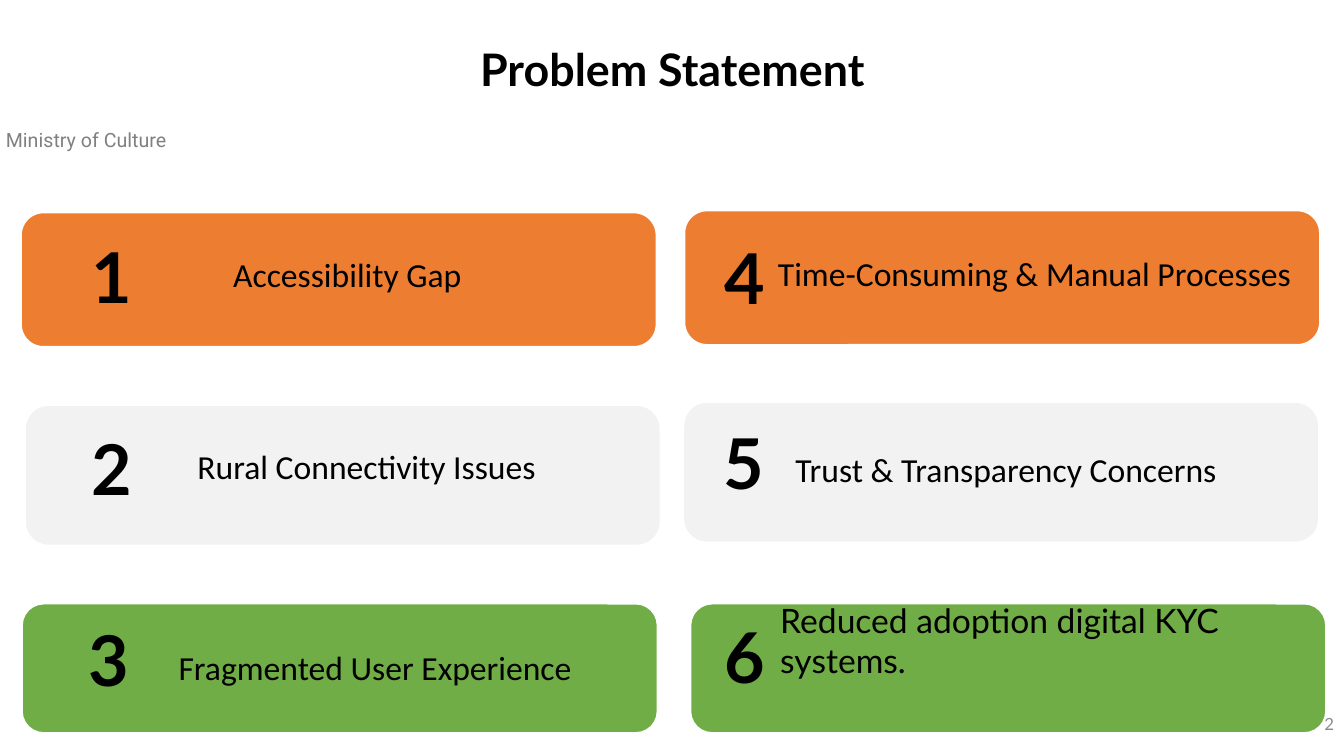
from pptx import Presentation
from pptx.dml.color import RGBColor
from pptx.enum.shapes import MSO_SHAPE as Shape
from pptx.enum.text import MSO_ANCHOR as Anchor, PP_ALIGN as Align
from pptx.util import Inches, Pt

# Content
TITLE = "Problem Statement"
MINISTRY = "Ministry of Culture"
PAGE_NUMBER = "2"

ORANGE, GREY, GREEN = "ED7D31", "F2F2F2", "70AD47"
BLACK, WHITE = "000000", "FFFFFF"
CARD_WIDTH = 6.3
CARD_HEIGHTS = {ORANGE: 1.33, GREY: 1.39, GREEN: 1.28}
NUMBER_SIZE = (0.61, 0.94)

CENTRED = {"align": Align.CENTER, "spacing": 0.9}
PLAIN = {}
WRAPPED = {"font": "Lato", "wrap": True}

# Number, colour, card corner, number corner, label, label box, label style
PROBLEMS = [
    ("1", ORANGE, (0.21, 2.11), (0.81, 2.27),
     "Accessibility Gap", (2.2, 2.51, 2.49, 0.46), CENTRED),
    ("2", GREY, (0.25, 4.02), (0.81, 4.17),
     "Rural Connectivity Issues", (1.84, 4.42, 3.59, 0.46), CENTRED),
    ("3", GREEN, (0.22, 5.99), (0.78, 6.07),
     "Fragmented User Experience", (1.65, 6.41, 4.14, 0.46), CENTRED),
    ("4", ORANGE, (6.79, 2.09), (7.09, 2.28),
     "Time-Consuming & Manual Processes", (7.59, 2.5, 5.34, 0.46), CENTRED),
    ("5", GREY, (6.78, 3.99), (7.08, 4.11),
     "Trust & Transparency Concerns", (7.79, 4.4, 4.42, 0.5), PLAIN),
    ("6", GREEN, (6.85, 5.99), (7.09, 6.04),
     "Reduced adoption digital KYC systems.", (7.64, 5.9, 5.51, 0.9), WRAPPED),
]

presentation = Presentation()
presentation.slide_width = Inches(13.33)
presentation.slide_height = Inches(7.5)
slide = presentation.slides.add_slide(presentation.slide_layouts[6])


def color(value):
    return RGBColor.from_string(value)


def add_card(corner, fill):
    box = (*corner, CARD_WIDTH, CARD_HEIGHTS[fill])
    card = slide.shapes.add_shape(Shape.ROUNDED_RECTANGLE, *map(Inches, box))
    card.shadow.inherit = False
    card.fill.solid()
    card.fill.fore_color.rgb = color(fill)
    card.line.color.rgb = color(WHITE)
    card.line.width = Pt(1)


def add_text(text, box, size, font="Calibri", ink=BLACK, bold=False,
             align=Align.LEFT, anchor=Anchor.TOP, spacing=None, wrap=True):
    frame = slide.shapes.add_textbox(*map(Inches, box)).text_frame
    frame.word_wrap = wrap
    frame.vertical_anchor = anchor
    paragraph = frame.paragraphs[0]
    paragraph.text = text
    paragraph.alignment = align
    if spacing:
        paragraph.line_spacing = spacing
    paragraph.font.size = Pt(size)
    paragraph.font.name = font
    paragraph.font.bold = bold
    paragraph.font.color.rgb = color(ink)


# Header
add_text(MINISTRY, (-0.04, 1.22, 2.9, 0.34), 14, "Roboto", "808080")
add_text(TITLE, (2.77, 0.42, 7.8, 0.59), 32, "Lato", bold=True, **CENTRED)

# Numbered problem cards
for number, fill, card_corner, number_corner, label, label_box, style in PROBLEMS:
    add_card(card_corner, fill)
    add_text(number, (*number_corner, *NUMBER_SIZE), 50, "Lato", bold=True, wrap=False)
    add_text(label, label_box, 24, anchor=Anchor.BOTTOM, **{"wrap": False, **style})

# Page number
add_text(PAGE_NUMBER, (10.33, 6.98, 3, 0.4), 12, "Lato", "8C8C8C",
         align=Align.RIGHT, anchor=Anchor.MIDDLE)

presentation.save("out.pptx")
